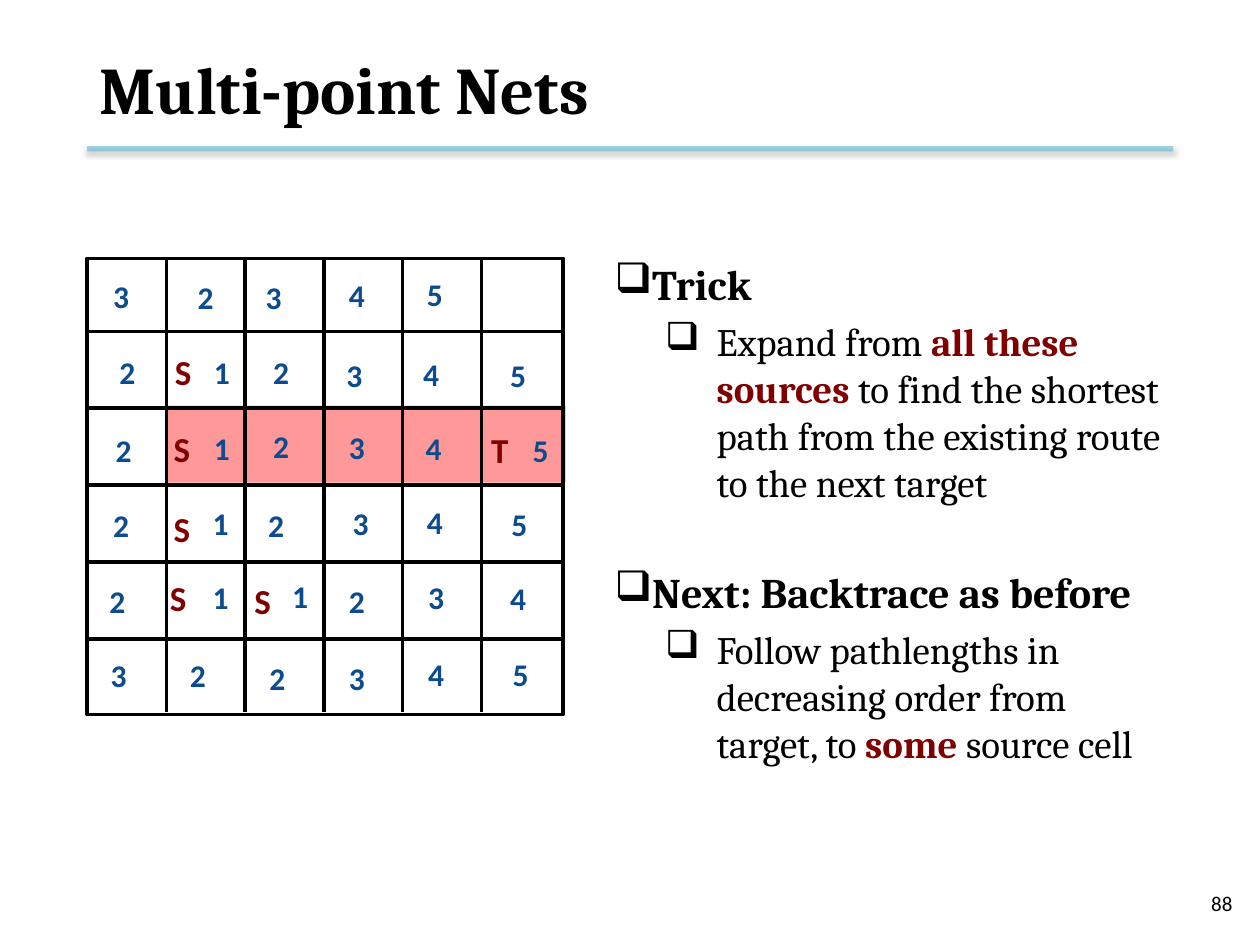
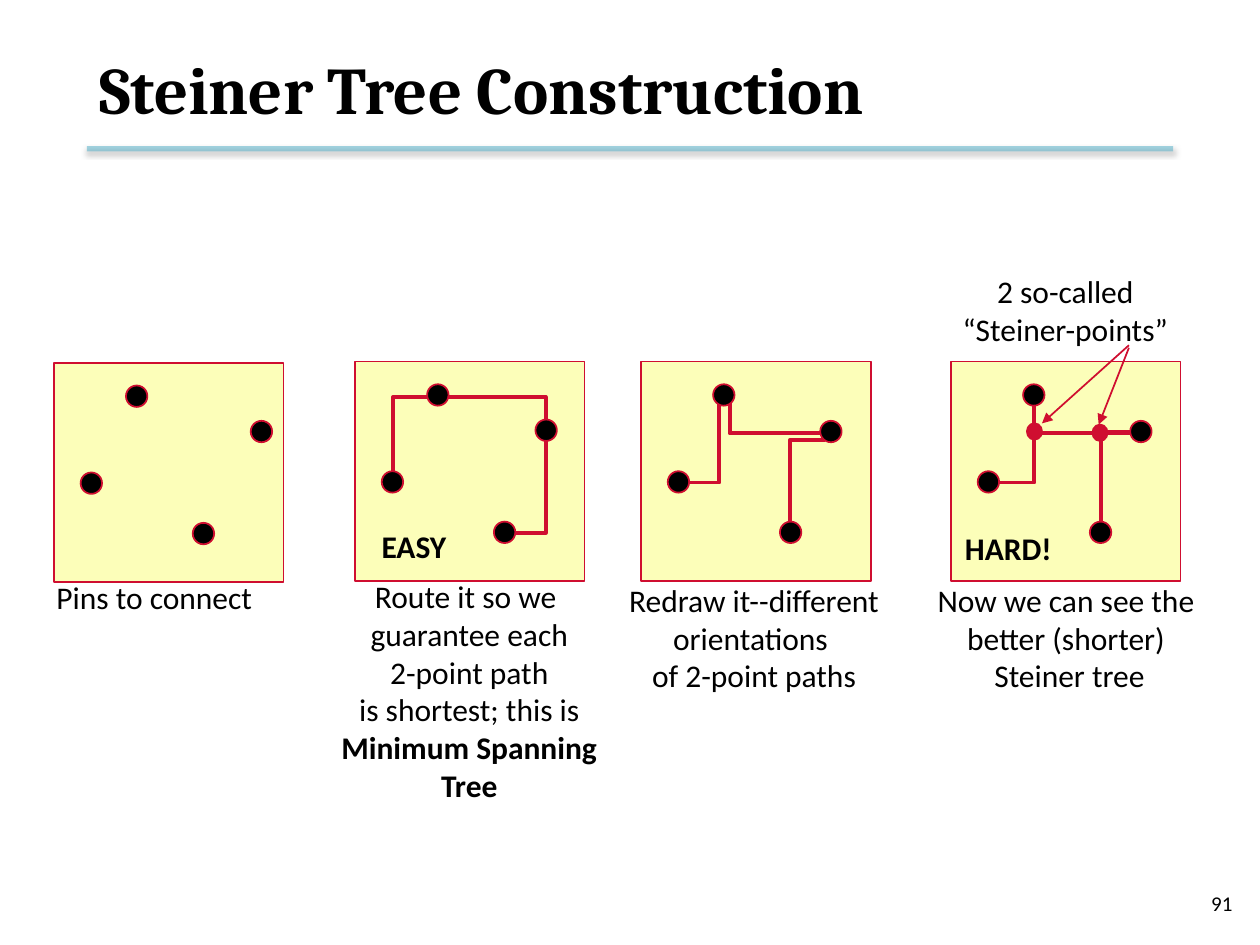
import dataclasses
import typing

import lxml.etree
import pptx
import pptx.dml.color
import pptx.enum.shapes
import pptx.enum.text
import pptx.oxml.ns
import pptx.util

WIDTH = pptx.util.Inches(10)
HEIGHT = pptx.util.Inches(7.5)
COLUMN = WIDTH / 100
ROW = HEIGHT / 75

BLACK = "000000"
BAND = "4BACC6"
MAROON = "800000"
NAVY = "0B4B8E"
PINK = "FF9999"
CREAM = "FCFEB9"
CRIMSON = "CF0E30"
SERIF = "Cambria"
SANS = "Calibri"

ALIGN = pptx.enum.text.PP_ALIGN
ANCHOR = pptx.enum.text.MSO_ANCHOR
PRESET = pptx.enum.shapes.MSO_SHAPE

Point = tuple[float, float]


class Area(typing.NamedTuple):
    left: float
    top: float
    width: float
    height: float


class Span(typing.NamedTuple):
    text: str
    bold: bool = False
    color: str = BLACK


@dataclasses.dataclass
class Style:
    size: float = 18
    font: str = SANS
    align: typing.Any = ALIGN.LEFT
    anchor: typing.Any = ANCHOR.TOP
    wrap: bool = False


@dataclasses.dataclass
class BulletLevel:
    size: float
    margin: float
    indent: float
    pitch: float
    before: float


@dataclasses.dataclass
class Panel:
    corner: Point
    right_pin: Point
    caption_area: Area
    caption: list[list[Span]]
    align: typing.Any = ALIGN.CENTER
    routes: list[list[Point]] = dataclasses.field(default_factory=list)


TITLE = Style(38, SERIF, anchor=ANCHOR.MIDDLE, wrap=True)
NUMBER = Style(12, align=ALIGN.RIGHT, anchor=ANCHOR.MIDDLE, wrap=True)
LABEL = Style()
CENTERED = Style(align=ALIGN.CENTER)
ENDPOINT = Style(20)
HEADING = BulletLevel(24.1, 0.25, -0.45, 29, 35)
DETAIL = BulletLevel(22.2, 0.81, -0.41, 26.75, 5)

BULLETS = [
    (HEADING, [Span("Trick", True)]),
    (DETAIL, [Span("Expand from"), Span(" all these sources", True, MAROON),
              Span(" to find the shortest path from the existing route to the next target")]),
    (HEADING, [Span("Next: Backtrace as before", True)]),
    (DETAIL, [Span("Follow pathlengths in decreasing order from target, to "),
              Span("some ", True, MAROON), Span("source cell")]),
]

MAZE = Area(6.9, 20.5, 37.8, 36.2)
ENDPOINTS = {
    "S": [(12.9, 27.3), (12.8, 33.4), (12.8, 39.8), (12.5, 45.3), (19.2, 45.5)],
    "T": [(38, 33.5)],
}
DISTANCES = {
    "1": [(16, 27.5), (16, 33.6), (15.9, 39.5), (15.9, 45.4), (22.2, 45.3)],
    "2": [(14.7, 21.6), (20.7, 27.5), (8.5, 27.5), (20.7, 33.4), (8.2, 33.7), (20.3, 39.7),
          (8, 39.7), (14.1, 51.6), (7.7, 45.7), (20.4, 51.8), (26.7, 45.7)],
    "3": [(20.1, 21.6), (26.5, 27.8), (8, 21.5), (26.7, 33.5), (27, 39.5), (33, 45.4),
          (26.7, 51.8), (7.8, 51.6)],
    "4": [(26.7, 21.4), (32.6, 27.7), (32.8, 33.6), (32.9, 39.4), (39.5, 45.5), (33, 51.5)],
    "5": [(32.9, 21.3), (39.5, 27.8), (41.3, 33.7), (39.6, 39.6), (39.7, 51.5)],
}

PANEL_SIZE = (18.2, 17.4)
PIN = 1.7
PINS = [(2.1, 8.7), (5.7, 1.8), (11, 12.7)]
PANELS = [
    Panel((4.3, 28.8), (15.6, 4.6), Area(3.5, 45.4, 19.3, 4),
          [[Span("Pins to connect")]], ALIGN.LEFT),
    Panel((28.2, 28.7), (14.3, 4.6), Area(24.6, 45.3, 25.3, 19.2),
          [[Span("Route it so we \nguarantee each\n2-point path")],
           [Span("is shortest; this is\n"), Span("Minimum Spanning\nTree", True)]],
          routes=[[(3, 9.5), (3, 2.8), (15.1, 2.8), (15.1, 13.6), (11.7, 13.6)]]),
    Panel((50.9, 28.7), (14.2, 4.7), Area(48.1, 45.6, 23.5, 10.1),
          [[Span("Redraw it--different")], [Span("orientations ")], [Span("of 2-point paths")]],
          routes=[[(2.8, 9.6), (6.2, 9.6), (6.2, 2.6)],
                  [(7, 3), (7, 5.7), (14.5, 5.7)],
                  [(14.6, 6.2), (11.8, 6.2), (11.8, 13.7)]]),
    Panel((75.5, 28.7), (14.2, 4.7), Area(72.2, 45.6, 24.8, 10.1),
          [[Span("Now we can see the")], [Span("better (shorter)")], [Span(" Steiner tree")]],
          routes=[[(3.2, 9.6), (6.6, 9.6), (6.6, 2.6)],
                  [(6.6, 2.9), (6.6, 5.7), (14.8, 5.7)],
                  [(14.6, 5.6), (11.9, 5.6), (11.9, 13.1)]]),
]
STEINER_POINTS = [(81.5, 33.6), (86.7, 33.7)]
POINTERS = [((89.6, 27.6), (87.2, 33.7)), ((89.6, 27.4), (82.7, 33.6))]


def across(columns: float) -> pptx.util.Emu:
    return pptx.util.Emu(round(columns * COLUMN))


def down(rows: float) -> pptx.util.Emu:
    return pptx.util.Emu(round(rows * ROW))


def place(area: Area) -> tuple:
    return across(area.left), down(area.top), across(area.width), down(area.height)


def rgb(value: str) -> pptx.dml.color.RGBColor:
    return pptx.dml.color.RGBColor.from_string(value)


def child(parent: typing.Any, tag: str, **attributes: str) -> typing.Any:
    return lxml.etree.SubElement(parent, pptx.oxml.ns.qn(tag), attributes)


def paint(shape: typing.Any, fill: str | None, line: str | None, weight: float = 1) -> None:
    shape.shadow.inherit = False
    if fill:
        shape.fill.solid()
        shape.fill.fore_color.rgb = rgb(fill)
    else:
        shape.fill.background()
    if line:
        shape.line.color.rgb = rgb(line)
        shape.line.width = pptx.util.Pt(weight)
    else:
        shape.line.fill.background()


def add_preset(page: typing.Any, preset: typing.Any, area: Area, fill: str | None,
               line: str | None, weight: float = 1) -> None:
    paint(page.shapes.add_shape(preset, *place(area)), fill, line, weight)


def add_line(page: typing.Any, start: Point, end: Point, color: str, weight: float) -> typing.Any:
    line = page.shapes.add_connector(
        pptx.enum.shapes.MSO_CONNECTOR.STRAIGHT,
        across(start[0]), down(start[1]), across(end[0]), down(end[1]))
    line.line.color.rgb = rgb(color)
    line.line.width = pptx.util.Pt(weight)
    child(line._element.spPr, "a:effectLst")
    return line


def add_route(page: typing.Any, corner: Point, points: list[Point]) -> None:
    vertices = [(across(corner[0] + x), down(corner[1] + y)) for x, y in points]
    builder = page.shapes.build_freeform(*vertices[0])
    builder.add_line_segments(vertices[1:], close=False)
    paint(builder.convert_to_shape(), None, CRIMSON, 2.25)


def add_spans(para: typing.Any, spans: list[Span], size: float, font: str) -> None:
    for span in spans:
        for index, piece in enumerate(span.text.split("\n")):
            if index:
                para.add_line_break()
            if not piece:
                continue
            run = para.add_run()
            run.text = piece
            run.font.size = pptx.util.Pt(size)
            run.font.name = font
            run.font.bold = span.bold
            run.font.color.rgb = rgb(span.color)


def add_frame(page: typing.Any, area: Area, style: Style) -> typing.Any:
    frame = page.shapes.add_textbox(*place(area)).text_frame
    frame.word_wrap = style.wrap
    frame.vertical_anchor = style.anchor
    return frame


def add_text(page: typing.Any, area: Area, style: Style, *lines: list[Span]) -> None:
    frame = add_frame(page, area, style)
    for index, spans in enumerate(lines):
        para = frame.add_paragraph() if index else frame.paragraphs[0]
        para.alignment = style.align
        add_spans(para, spans, style.size, style.font)


def add_bullets(page: typing.Any, area: Area) -> None:
    frame = add_frame(page, area, Style(wrap=True))
    for index, (level, spans) in enumerate(BULLETS):
        para = frame.add_paragraph() if index else frame.paragraphs[0]
        properties = para._p.get_or_add_pPr()
        properties.set("marL", str(pptx.util.Inches(level.margin)))
        properties.set("indent", str(pptx.util.Inches(level.indent)))
        child(properties, "a:buChar", char="❑")
        para.line_spacing = pptx.util.Pt(level.pitch)
        para.space_before = pptx.util.Pt(level.before if index else 0)
        add_spans(para, spans, level.size, SERIF)


def add_page(deck: typing.Any, title: str, number: int) -> typing.Any:
    page = deck.slides.add_slide(deck.slide_layouts[6])
    band = add_line(page, (6.9, 11.8), (93.1, 11.8), BAND, 3)
    properties = band._element.spPr
    color = properties.find(".//" + pptx.oxml.ns.qn("a:srgbClr"))
    child(color, "a:alpha", val="50000")
    effects = properties.find(pptx.oxml.ns.qn("a:effectLst"))
    shadow = child(effects, "a:outerShdw", blurRad=str(pptx.util.Pt(3.1)),
                   dist=str(pptx.util.Pt(1.6)), dir="5400000", rotWithShape="0")
    child(child(shadow, "a:srgbClr", val=BLACK), "a:alpha", val="38000")
    add_text(page, Area(75.5, 69.7, 23.3, 4), NUMBER, [Span(str(number))])
    add_text(page, Area(6.9, 1.7, 86.2, 10.6), TITLE, [Span(title, True)])
    return page


def add_marks(page: typing.Any, marks: dict[str, list[Point]], size: Point,
              style: Style, color: str) -> None:
    for text, corners in marks.items():
        for corner in corners:
            add_text(page, Area(*corner, *size), style, [Span(text, True, color)])


def build_maze(deck: typing.Any) -> None:
    page = add_page(deck, "Multi-point Nets", 88)
    add_preset(page, PRESET.RECTANGLE, Area(13.3, 32.2, 31.6, 6.1), PINK, None)
    add_bullets(page, Area(47.8, 20, 46.4, 41.9))
    add_preset(page, PRESET.RECTANGLE, MAZE, None, BLACK, 2)
    for index in range(5):
        y = 26.3 + 6.1 * index
        add_line(page, (MAZE.left + 0.2, y), (MAZE.left + MAZE.width - 0.2, y), BLACK, 2)
    for index in range(5):
        x = 13.2 + 6.25 * index
        add_line(page, (x, MAZE.top), (x, MAZE.top + MAZE.height - 0.2), BLACK, 2)
    add_marks(page, ENDPOINTS, (3.9, 4.3), ENDPOINT, MAROON)
    add_marks(page, DISTANCES, (3.4, 4), LABEL, NAVY)


def build_steiner(deck: typing.Any) -> None:
    page = add_page(deck, "Steiner Tree Construction", 91)
    for panel in PANELS:
        left, top = panel.corner
        add_preset(page, PRESET.RECTANGLE, Area(left, top, *PANEL_SIZE), CREAM, CRIMSON)
        for route in panel.routes:
            add_route(page, panel.corner, route)
        add_text(page, panel.caption_area, Style(align=panel.align), *panel.caption)
        for x, y in [*PINS, panel.right_pin]:
            add_preset(page, PRESET.OVAL, Area(left + x, top + y, PIN, PIN), BLACK, CRIMSON)
    for corner in STEINER_POINTS:
        add_preset(page, PRESET.OVAL, Area(*corner, 1.2, 1.3), CRIMSON, CRIMSON)
    for start, end in POINTERS:
        pointer = add_line(page, start, end, CRIMSON, 1)
        child(pointer.line._get_or_add_ln(), "a:tailEnd", type="triangle")
    add_text(page, Area(74.9, 21.1, 19.3, 7.1), CENTERED, [Span("2 so-called\n“Steiner-points”")])
    add_text(page, Area(29.3, 41.3, 9, 4), LABEL, [Span("EASY", True)])
    add_text(page, Area(75.6, 41.5, 10.2, 4), LABEL, [Span("HARD!", True)])


def main() -> None:
    deck = pptx.Presentation()
    deck.slide_width = WIDTH
    deck.slide_height = HEIGHT
    build_maze(deck)
    build_steiner(deck)
    deck.save("out.pptx")


if __name__ == "__main__":
    main()
